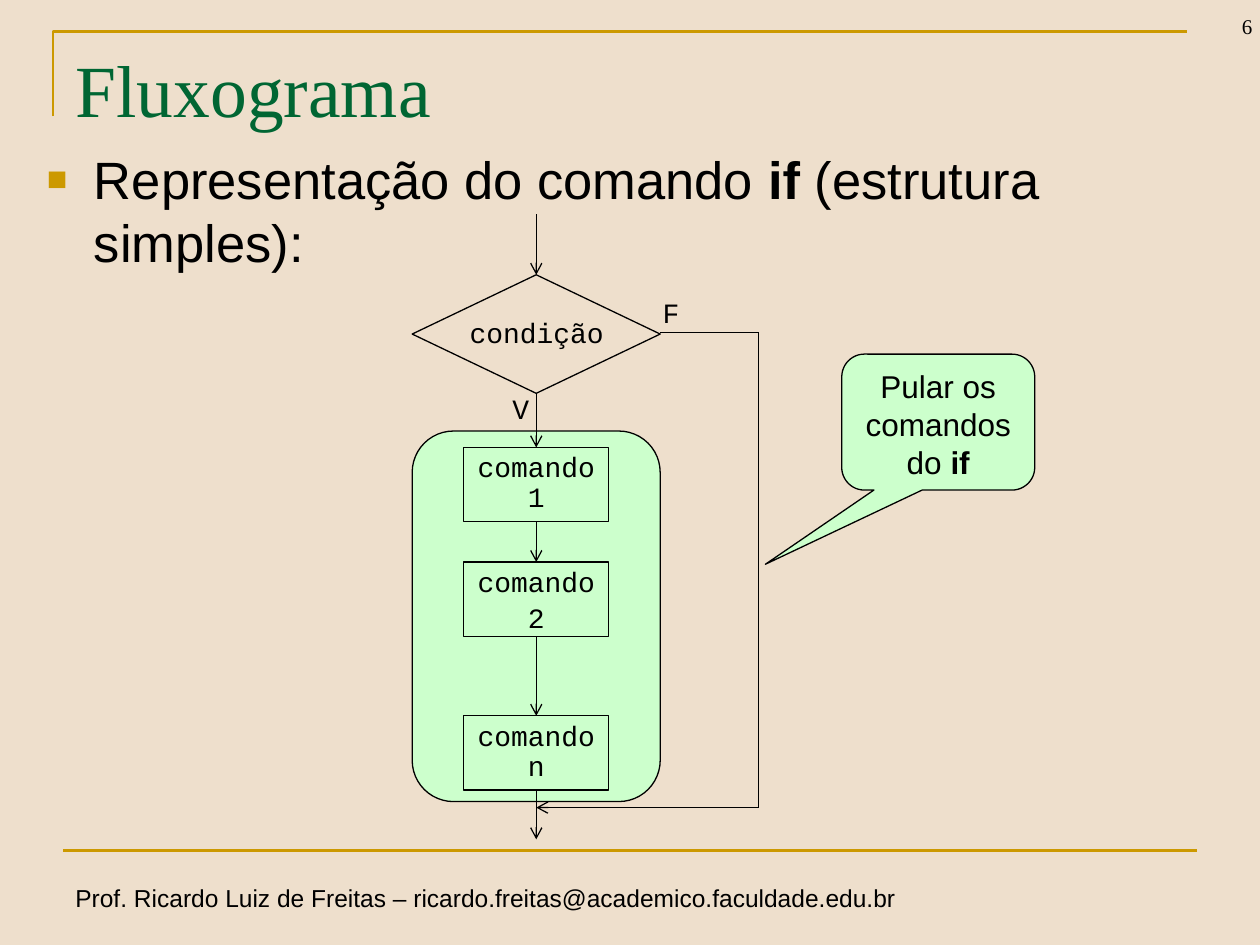
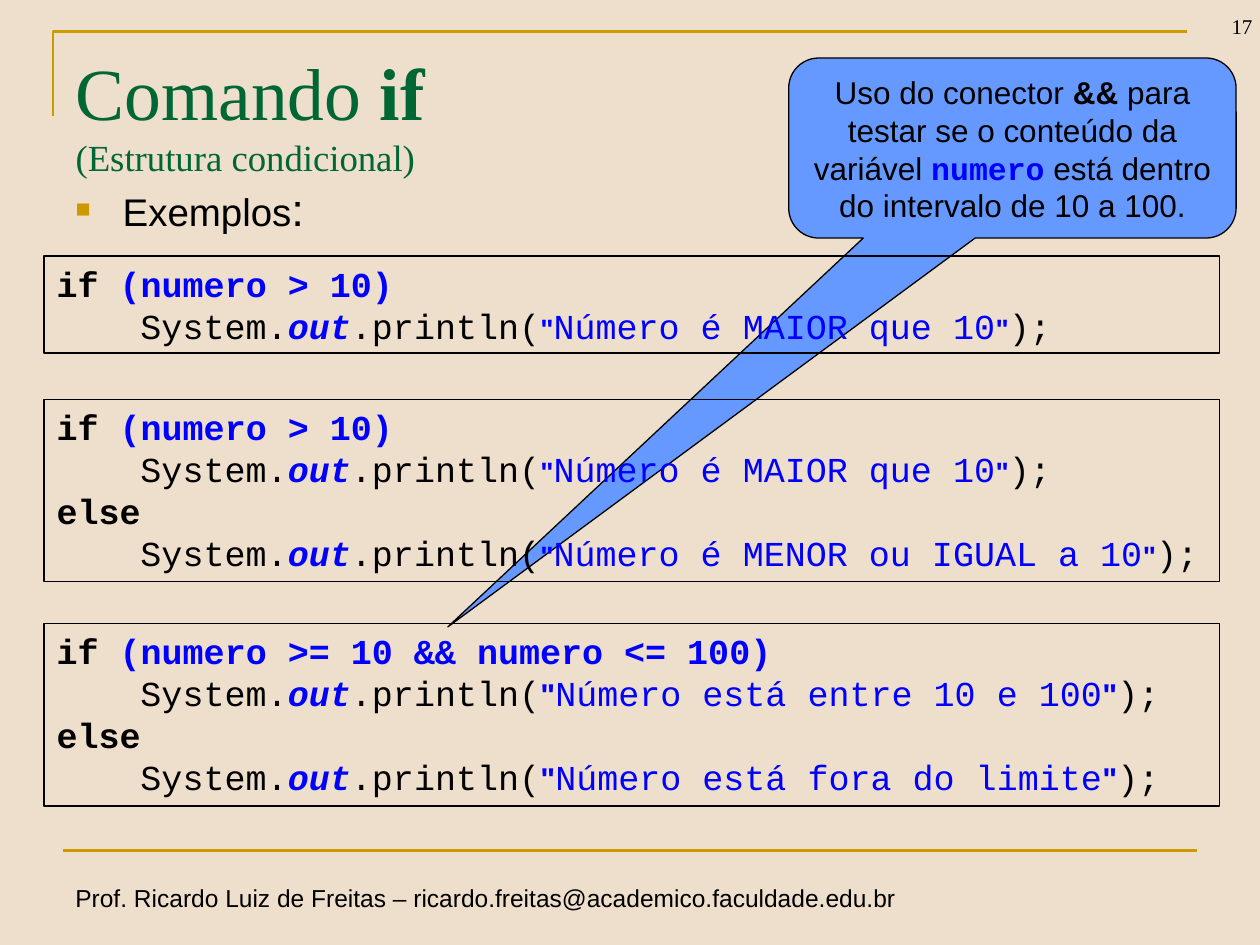
from lxml import etree
from pptx import Presentation
from pptx.dml.color import RGBColor
from pptx.enum.shapes import MSO_CONNECTOR, MSO_SHAPE
from pptx.enum.text import MSO_ANCHOR, MSO_AUTO_SIZE, PP_ALIGN
from pptx.oxml.ns import qn
from pptx.util import Cm, Pt

STRAIGHT = MSO_CONNECTOR.STRAIGHT
RECTANGLE, ROUNDED = MSO_SHAPE.RECTANGLE, MSO_SHAPE.ROUNDED_RECTANGLE
DECISION, CALLOUT = MSO_SHAPE.FLOWCHART_DECISION, MSO_SHAPE.ROUNDED_RECTANGULAR_CALLOUT
TOP, BOTTOM = MSO_ANCHOR.TOP, MSO_ANCHOR.BOTTOM
LEFT, CENTER, RIGHT = PP_ALIGN.LEFT, PP_ALIGN.CENTER, PP_ALIGN.RIGHT
NO_FIT = MSO_AUTO_SIZE.NONE

# Theme: colours and text styles (font, size, colour, bold, italic)
SANS, SERIF, MONO = "Arial", "Times New Roman", "Courier New"
BLACK, GREEN, BLUE, GOLD = "000000", "006633", "0000FF", "CC9900"
THEME = {
    "background": "EEDFCC", "frame": GOLD, "ink": BLACK,
    "block": "CCFFCC", "note": "6699FF",
    "title": (SERIF, 42, GREEN, False, False),
    "title bold": (SERIF, 42, GREEN, True, False),
    "subtitle": (SERIF, 21, GREEN, False, False),
    "number": (SERIF, 12, BLACK, False, False),
    "footer": (SANS, 14, BLACK, False, False),
    "body": (SANS, 30, BLACK, False, False),
    "body bold": (SANS, 30, BLACK, True, False),
    "example": (SANS, 22, BLACK, False, False),
    "colon": (SANS, 26, BLACK, False, False),
    "callout": (SANS, 18, BLACK, False, False),
    "callout bold": (SANS, 18, BLACK, True, False),
    "variable": (MONO, 18, BLUE, True, False),
    "flow": (MONO, 16, BLACK, False, False),
    "code": (MONO, 20, BLACK, False, False),
    "keyword": (MONO, 20, BLACK, True, False),
    "condition": (MONO, 20, BLUE, True, False),
    "field": (MONO, 20, BLUE, True, True),
    "string": (MONO, 20, BLUE, False, False),
    "quote 16": (SANS, 16, BLUE, True, False),
    "quote 18": (SANS, 18, BLUE, True, False),
}


def write(shape, paragraphs, align=LEFT, anchor=TOP, wrap=True, **spacing):
    """Fill a shape with paragraphs, each a list of (text, style) runs."""
    frame = shape.text_frame
    frame.word_wrap, frame.auto_size, frame.vertical_anchor = wrap, NO_FIT, anchor
    for index, runs in enumerate(paragraphs):
        paragraph = frame.add_paragraph() if index else frame.paragraphs[0]
        for key, value in {"alignment": align, **spacing}.items():
            setattr(paragraph, key, value)
        for text, style in runs:
            if text == "\n":
                paragraph.add_line_break()
                continue
            run = paragraph.add_run()
            run.text = text
            name, size, color, bold, italic = THEME[style]
            values = {"name": name, "size": Pt(size), "bold": bold, "italic": italic}
            for key, value in values.items():
                setattr(run.font, key, value)
            run.font.color.rgb = RGBColor.from_string(color)


def outline(shape, color="ink", width=0.75, fill=None, arrow=False):
    """Draw a shape or connector without shadow, with line, fill and arrowhead."""
    shape.line.color.rgb = RGBColor.from_string(THEME[color])
    shape.line.width = Pt(width)
    if hasattr(shape, "fill"):
        shape.shadow.inherit = False
        shape.fill.background()
        if fill:
            shape.fill.solid()
            shape.fill.fore_color.rgb = RGBColor.from_string(THEME[fill])
    else:
        properties = shape.element.spPr
        if arrow:
            etree.SubElement(properties.find(qn("a:ln")), qn("a:tailEnd"), type="arrow")
        etree.SubElement(properties, qn("a:effectLst"))


presentation = Presentation()
presentation.slide_width, presentation.slide_height = Cm(25.4), Cm(19.05)
layout = presentation.slide_layouts[1]
background = presentation.slide_master.background.fill
background.solid()
background.fore_color.rgb = RGBColor.from_string(THEME["background"])
flow_slide, code_slide = [presentation.slides.add_slide(layout) for _ in range(2)]

# Shared frame and footer, drawn once and moved to the layout
builder = flow_slide.shapes.build_freeform(Cm(1.07), Cm(2.34))
builder.add_line_segments([(Cm(1.07), Cm(0.64)), (Cm(23.93), Cm(0.64))], close=False)
corner = builder.convert_to_shape()
base_line = flow_slide.shapes.add_connector(STRAIGHT, Cm(1.27), Cm(17.15), Cm(24.13), Cm(17.15))
footer = flow_slide.shapes.add_textbox(Cm(1.27), Cm(17.68), Cm(17.42), Cm(0.86))
write(footer, [[("Prof. Ricardo Luiz de Freitas – "
                 "ricardo.freitas@academico.faculdade.edu.br", "footer")]], wrap=False)
for shape in (corner, base_line):
    outline(shape, "frame", 1.5)
for shape in list(layout.placeholders)[2:]:
    shape.element.getparent().remove(shape.element)
for shape in (corner, base_line, footer):
    layout.shapes.element.append(shape.element)

# Titles, bulleted lists and slide numbers
pages = [
    (flow_slide, "6", (0.76, 3.18), TOP, [("Fluxograma", "title")],
     (0.69, 2.84, 2.29),
     [("Representação do comando ", "body"), ("if", "body bold"),
      (" (estrutura simples):", "body")]),
    (code_slide, "17", (1.17, 2.57), BOTTOM,
     [("Comando ", "title"), ("if", "title bold"), ("\n", None),
      ("(Estrutura condicional)", "subtitle")],
     (1.27, 3.53, 1.9), [("Exemplos", "example"), (":", "colon")]),
]
for slide, number, (top, height), anchor, title, body_box, body in pages:
    heading, listing = slide.placeholders
    heading.left, heading.top, heading.width, heading.height = (
        Cm(1.27), Cm(top), Cm(22.86), Cm(height))
    write(heading, [title], anchor=anchor)
    left, top, height = body_box
    listing.left, listing.top, listing.width, listing.height = (
        Cm(left), Cm(top), Cm(22.86), Cm(height))
    write(listing, [body])
    properties = listing.text_frame.paragraphs[0]._p.get_or_add_pPr()
    properties.set("marL", str(Cm(0.95)))
    properties.set("indent", str(-Cm(0.95)))
    bullet_color = etree.SubElement(properties, qn("a:buClr"))
    etree.SubElement(bullet_color, qn("a:srgbClr"), val=THEME["frame"])
    etree.SubElement(properties, qn("a:buSzPct"), val="65000")
    etree.SubElement(properties, qn("a:buFont"), typeface=SANS)
    etree.SubElement(properties, qn("a:buChar"), char="■")
    number_box = slide.shapes.add_textbox(Cm(23.6), Cm(-0.36), Cm(1.9), Cm(1.27))
    write(number_box, [[(number, "number")]], RIGHT, BOTTOM)

# Flowchart: block, decision and commands around one axis
axis = 10.81
for kind, top, width, height, fill, lines in [
    (ROUNDED, 8.69, 5, 7.47, "block", []),
    (DECISION, 5.54, 5, 2.39, None, []),
    (RECTANGLE, 9.02, 2.92, 1.5, None, ["comando 1"]),
    (RECTANGLE, 11.33, 2.92, 1.5, None, ["comando ", "2"]),
    (RECTANGLE, 14.43, 2.92, 1.5, None, ["comando n"]),
]:
    shape = flow_slide.shapes.add_shape(
        kind, Cm(axis - width / 2), Cm(top), Cm(width), Cm(height))
    outline(shape, fill=fill)
    write(shape, [[(line, "flow")] for line in lines], CENTER,
          line_spacing=0.9, space_before=Pt(3.2))

# Flowchart labels
for text, left, top, width in [
    ("F", 13.11, 5.92, 0.86), ("V", 10.08, 7.85, 0.86), ("condição", 9.22, 6.32, 3.4),
]:
    label = flow_slide.shapes.add_textbox(Cm(left), Cm(top), Cm(width), Cm(0.88))
    write(label, [[(text, "flow")]], wrap=False, line_spacing=0.9, space_before=Pt(3.2))

# Flow down the axis, then the bypass for a false condition
bypass = 15.29
for x1, y1, x2, y2, arrow in [
    *[(axis, start, axis, end, True) for start, end in
      [(4.32, 5.54), (7.93, 9.02), (10.52, 11.33), (12.83, 14.43), (15.93, 16.92)]],
    (axis + 2.5, 6.7, bypass, 6.7, False),
    (bypass, 6.7, bypass, 16.28, False),
    (bypass, 16.28, axis, 16.28, True),
]:
    connector = flow_slide.shapes.add_connector(STRAIGHT, Cm(x1), Cm(y1), Cm(x2), Cm(y2))
    outline(connector, arrow=arrow)

# Callouts, under the code boxes
for slide, box, tail, fill, runs in [
    (flow_slide, (16.97, 7.14, 3.89, 2.74), (-0.896, 1.046), "block",
     [("Pular os comandos do ", "callout"), ("if", "callout bold")]),
    (code_slide, (15.9, 1.17, 9.02, 3.63), (-1.262, 2.66), "note",
     [("Uso do conector ", "callout"), ("&&", "callout bold"),
      (" para testar se o conteúdo da variável ", "callout"), ("numero", "variable"),
      (" está dentro do intervalo de 10 a 100.", "callout")]),
]:
    callout = slide.shapes.add_shape(CALLOUT, *[Cm(length) for length in box])
    callout.adjustments[0], callout.adjustments[1] = tail
    outline(callout, fill=fill)
    write(callout, [runs], CENTER)

# Code boxes: condition, message, and the message after else
for top, height, quote, condition, messages in [
    (5.16, 1.96, "quote 16", "(numero > 10)", ["Número é MAIOR que 10"]),
    (8.05, 3.68, "quote 16", "(numero > 10)",
     ["Número é MAIOR que 10", "Número é MENOR ou IGUAL a 10"]),
    (12.57, 3.68, "quote 18", "(numero >= 10 && numero <= 100)",
     ["Número está entre 10 e 100", "Número está fora do limite"]),
]:
    lines = [[("if ", "keyword"), (condition, "condition")]]
    for index, message in enumerate(messages):
        if index:
            lines.append([("else", "keyword")])
        lines.append([("System.", "code"), ("out", "field"), (".println(", "code"),
                      ('"', quote), (message, "string"), ('"', quote), (");", "code")])
    box = code_slide.shapes.add_shape(RECTANGLE, Cm(0.89), Cm(top), Cm(23.7), Cm(height))
    outline(box)
    write(box, lines)
    for paragraph in box.text_frame.paragraphs[1::2]:
        paragraph._p.get_or_add_pPr().set("marL", str(Pt(48)))

presentation.save("out.pptx")
